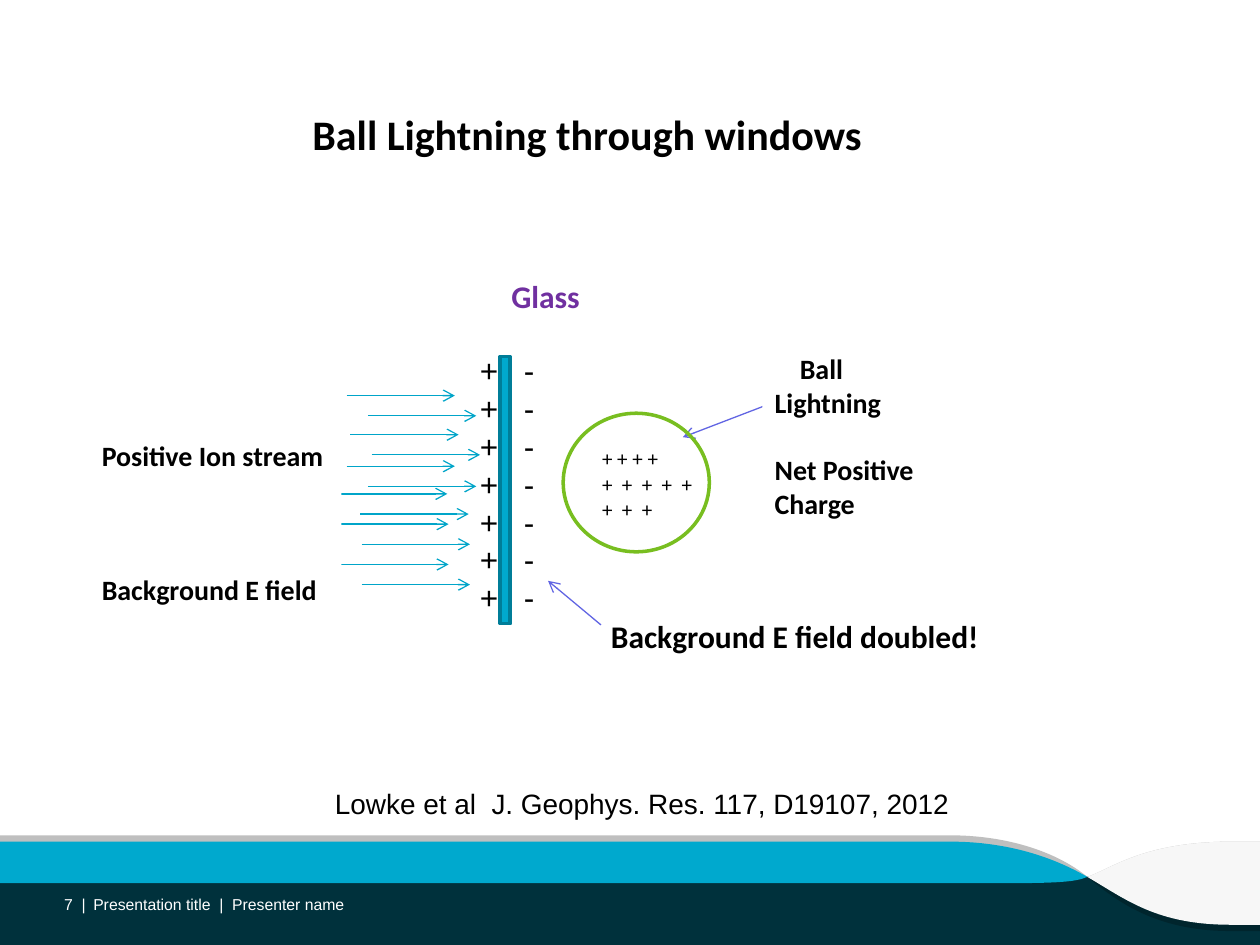
from dataclasses import dataclass
from typing import Any, Optional

from lxml.etree import Element, SubElement
from pptx import Presentation
from pptx.dml.color import RGBColor
from pptx.enum.shapes import MSO_CONNECTOR, MSO_SHAPE
from pptx.enum.text import MSO_ANCHOR, MSO_AUTO_SIZE, PP_ALIGN
from pptx.oxml.ns import qn
from pptx.util import Inches, Pt

BLACK = RGBColor(0x00, 0x00, 0x00)
WHITE = RGBColor(0xFF, 0xFF, 0xFF)
PURPLE = RGBColor(0x70, 0x30, 0xA0)
VIOLET = RGBColor(0x61, 0x65, 0xE3)
ION_BLUE = RGBColor(0x00, 0xA5, 0xC9)
CYAN = RGBColor(0x00, 0xA9, 0xCE)
GLASS_EDGE = RGBColor(0x00, 0x7D, 0x98)
GREEN = RGBColor(0x78, 0xBE, 0x20)
NAVY = RGBColor(0x00, 0x31, 0x3C)
DARK_NAVY = RGBColor(0x00, 0x25, 0x2D)
GREY = RGBColor(0xBF, 0xBF, 0xBF)
PALE = RGBColor(0xF7, 0xF7, 0xF7)

Point = tuple[float, float]


@dataclass
class Curve:
    """A cubic curve from the point before it to end."""
    first: Point
    second: Point
    end: Point


@dataclass
class Wave:
    color: RGBColor
    contours: list[list[Any]]  # points and curves


@dataclass
class Label:
    lines: list[str]
    at: tuple[float, float, float, float]
    size: float = 16
    font: str = "Calibri"
    color: RGBColor = BLACK
    bold: bool = True
    wrap: bool = True
    fill: Optional[RGBColor] = None
    gaps: tuple[float, ...] = ()  # space before each line
    indent: float = 0  # first line only
    spacing: Optional[float] = None
    anchor: MSO_ANCHOR = MSO_ANCHOR.TOP
    align: PP_ALIGN = PP_ALIGN.LEFT
    margins: tuple[float, float, float, float] = (0.1, 0.05, 0.1, 0.05)


def apply(target: Any, values: dict[str, Any]) -> None:
    for name, value in values.items():
        setattr(target, name, value)


def write(box: Any, label: Label) -> None:
    left, top, width, height = map(Inches, label.at)
    apply(box, {"left": left, "top": top, "width": width, "height": height})
    frame = box.text_frame
    apply(frame, {"auto_size": MSO_AUTO_SIZE.NONE, "word_wrap": label.wrap,
                  "vertical_anchor": label.anchor})
    sides = ("left", "top", "right", "bottom")
    apply(frame, {f"margin_{side}": Inches(margin) for side, margin in zip(sides, label.margins)})
    if label.fill is not None:
        box.fill.solid()
        box.fill.fore_color.rgb = label.fill
    for index, line in enumerate(label.lines):
        para = frame.paragraphs[0] if index == 0 else frame.add_paragraph()
        if index == 0 and label.indent:
            para._p.get_or_add_pPr().set("indent", str(Inches(label.indent)))
        para.alignment = label.align
        if label.gaps:
            para.space_before = Pt(label.gaps[index])
        if label.spacing:
            para.line_spacing = Pt(label.spacing)
        span = para.add_run()
        span.text = line
        apply(span.font, {"name": label.font, "size": Pt(label.size), "bold": label.bold})
        span.font.color.rgb = label.color


def add_label(page: Any, label: Label) -> None:
    write(page.shapes.add_textbox(*map(Inches, label.at)), label)


def add_arrow(page: Any, start: Point, end: Point, color: RGBColor) -> None:
    arrow = page.shapes.add_connector(MSO_CONNECTOR.STRAIGHT, *map(Inches, start + end))
    arrow.line.color.rgb = color
    arrow.line.width = Pt(0.75)
    SubElement(arrow.line._get_or_add_ln(), qn("a:tailEnd"), type="arrow")
    SubElement(arrow._element.spPr, qn("a:effectLst"))


def paint(shape: Any, fill: Optional[RGBColor], line: Optional[RGBColor] = None) -> None:
    shape.shadow.inherit = False
    if fill is None:
        shape.fill.background()
    else:
        shape.fill.solid()
        shape.fill.fore_color.rgb = fill
    if line is None:
        shape.line.fill.background()
    else:
        shape.line.color.rgb = line
        shape.line.width = Pt(2)


def add_shape(page: Any, kind: MSO_SHAPE, at: tuple[float, float, float, float],
              fill: Optional[RGBColor], line: Optional[RGBColor] = None) -> None:
    paint(page.shapes.add_shape(kind, *map(Inches, at)), fill, line)


def end_point(part: Any) -> Point:
    x, y = part.end if isinstance(part, Curve) else part
    return Inches(x), Inches(y)


def add_wave(page: Any, wave: Wave) -> None:
    builder = None
    for contour in wave.contours:
        start, *rest = map(end_point, contour)
        if builder is None:
            builder = page.shapes.build_freeform(*start)
        else:
            builder.move_to(*start)
        builder.add_line_segments(rest, close=True)
    shape = builder.convert_to_shape()
    # Bend the straight segments that stand for curves
    parts = [part for contour in wave.contours for part in contour[1:]]
    segments = list(shape._element.iter(qn("a:lnTo")))
    for part, segment in zip(parts, segments):
        if isinstance(part, Curve):
            bend = Element(qn("a:cubicBezTo"))
            for x, y in (part.first, part.second, part.end):
                SubElement(bend, qn("a:pt"), x=str(Inches(x) - shape.left), y=str(Inches(y) - shape.top))
            segment.getparent().replace(segment, bend)
    paint(shape, wave.color)


# Footer band: the waves meet at one crossing point
CROSSING = (8.63, 6.96)
RIGHT_CREST = Curve((9.08, 6.68), (8.83, 6.89), CROSSING)
BAND_END = Curve((8.4, 7.01), (8.54, 7), CROSSING)
WAVES = [
    Wave(GREY, [[(10, 6.68), (9.78, 6.68), RIGHT_CREST, (10, 6.96)],
                [(7.54, 6.63), (0, 6.63), (0, 6.96), CROSSING,
                 Curve((8.4, 6.77), (8.01, 6.63), (7.54, 6.63))]]),
    Wave(DARK_NAVY, [[CROSSING, (0, 6.96), (0, 7.01), (7.95, 7.01), BAND_END],
                     [(10, 6.96), CROSSING, Curve((8.87, 7.16), (9.18, 7.39), (9.77, 7.39)),
                      (10, 7.39)]]),
    Wave(CYAN, [[CROSSING, Curve((8.37, 6.81), (8.01, 6.68), (7.54, 6.68)),
                 (0, 6.68), (0, 7.01), (7.95, 7.01), BAND_END]]),
    Wave(PALE, [[(9.78, 6.68), RIGHT_CREST,
                 Curve((8.94, 7.14), (9.18, 7.34), (9.77, 7.34)),
                 (10, 7.34), (10, 6.68)]]),
]
FOOTER = {"size": 9, "font": "Arial", "color": WHITE, "bold": False,
          "anchor": MSO_ANCHOR.MIDDLE, "margins": (0, 0, 0, 0)}

# Ion stream: each arrow has a second one, shifted right and down
ION_STARTS = [(2.75, 3.14), (2.78, 3.45), (2.69, 3.92), (2.7, 4.48), (2.75, 3.7), (2.7, 4.16)]
ION_LENGTH = 0.86
ION_SHIFT = (0.17, 0.16)
CHARGE_ROWS = 7


def add_ions(page: Any, shift: Point) -> None:
    for x, y in ION_STARTS:
        left, top = x + shift[0], y + shift[1]
        add_arrow(page, (left, top), (left + ION_LENGTH, top), ION_BLUE)


def main() -> None:
    deck = Presentation()
    deck.slide_width, deck.slide_height = Inches(10), Inches(7.5)
    page = deck.slides.add_slide(deck.slide_layouts[5])

    # Footer
    add_shape(page, MSO_SHAPE.RECTANGLE, (0, 6.96, 10, 0.54), NAVY)
    for wave in WAVES:
        add_wave(page, wave)
    add_label(page, Label(["Presentation title  |  Presenter name"], (0.74, 7.11, 6.65, 0.14), **FOOTER))
    add_label(page, Label(["7  |"], (0.36, 7.11, 0.32, 0.14), align=PP_ALIGN.RIGHT, **FOOTER))

    # Title
    write(page.shapes.title, Label(["Ball Lightning through windows"], (2.38, 0.81, 4.6, 0.81), size=24,
                                   wrap=False, anchor=MSO_ANCHOR.MIDDLE, margins=(0.1, 0.05, 0.1, 0.35)))

    # Ion stream and glass; white labels cover the arrow starts
    add_label(page, Label(["Glass"], (3.96, 2.15, 1.02, 0.4), size=18, color=PURPLE))
    add_arrow(page, (6.28, 3.14), (5.42, 3.47), VIOLET)
    add_ions(page, (0, 0))
    add_shape(page, MSO_SHAPE.RECTANGLE, (3.97, 2.83, 0.08, 2.12), CYAN, GLASS_EDGE)
    add_label(page, Label(["Positive Ion stream", "Background E field"], (0.71, 3.43, 2, 1.45),
                          fill=WHITE, gaps=(0, 57.5)))

    # Ball lightning
    add_label(page, Label(["Ball", "Lightning", "Net Positive Charge"], (6.05, 2.74, 1.63, 1.45),
                          fill=WHITE, gaps=(0, 0, 19.5), indent=0.2))
    add_label(page, Label(["+ + + +", "+  +  +  +  +", "+  +  +"], (4.68, 3.49, 0.87, 1),
                          size=12, bold=False, wrap=False, fill=WHITE))
    add_shape(page, MSO_SHAPE.OVAL, (4.47, 3.28, 1.16, 1.1), None, GREEN)

    # Second arrows and the charges on both sides of the glass
    add_ions(page, ION_SHIFT)
    for sign, left in (("-", 4.06), ("+", 3.71)):
        add_label(page, Label([sign] * CHARGE_ROWS, (left, 2.74, 0.37, 2.22), size=18,
                              font="Arial", bold=False, spacing=21.6))

    # Field note and reference
    add_label(page, Label(["Background E field doubled!"], (4.75, 4.85, 3.15, 0.74), size=18, wrap=False))
    add_arrow(page, (4.77, 4.96), (4.35, 4.61), VIOLET)
    add_label(page, Label(["Lowke et al  J. Geophys. Res. 117, D19107, 2012"], (2.56, 6.19, 5.14, 0.37),
                          font="Arial", bold=False, wrap=False))
    deck.save("out.pptx")


if __name__ == "__main__":
    main()
